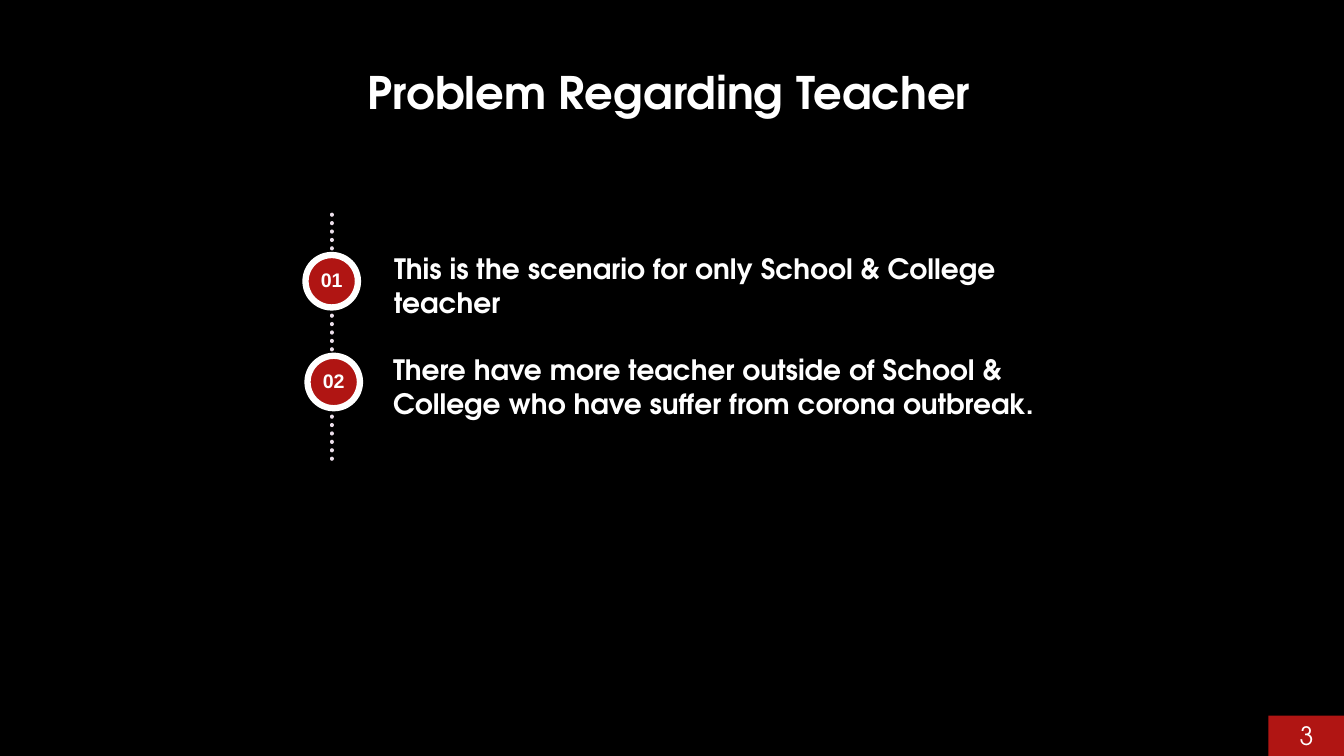
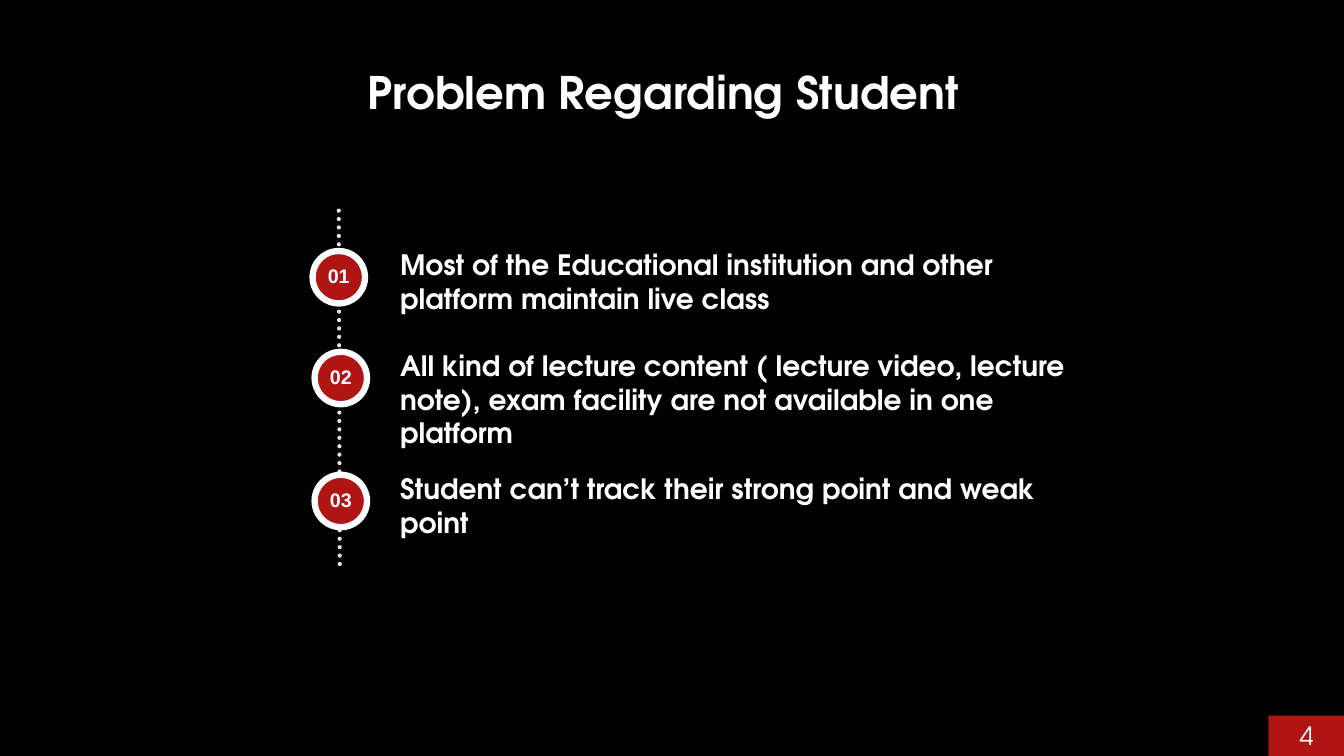
from dataclasses import dataclass

import pptx
import pptx.dml.color
import pptx.enum.dml
import pptx.enum.shapes
import pptx.enum.text
import pptx.oxml
import pptx.slide
import pptx.text.text
import pptx.util

Inches = pptx.util.Inches
Pt = pptx.util.Pt
RGBColor = pptx.dml.color.RGBColor
MSO_SHAPE = pptx.enum.shapes.MSO_SHAPE
MSO_ANCHOR = pptx.enum.text.MSO_ANCHOR
PP_ALIGN = pptx.enum.text.PP_ALIGN

BLACK = RGBColor(0x00, 0x00, 0x00)
WHITE = RGBColor(0xFF, 0xFF, 0xFF)
RED = RGBColor(0xB0, 0x15, 0x13)
PALE = RGBColor(0xEC, 0xDF, 0xEB)

HEAD_FONT = "TeX Gyre Adventor"
BADGE_FONT = "Arial"
BADGE_SIZE = 0.52
TEXT_RISE = 0.08
LINE_HEIGHT = 0.34
TEXT_MARGINS = 0.09


@dataclass(frozen=True)
class Item:
    text: str
    badge_left: float
    badge_top: float
    text_left: float
    text_width: float = 6.9
    lines: int = 2


@dataclass(frozen=True)
class Rail:
    x1: float
    y1: float
    x2: float
    y2: float


@dataclass(frozen=True)
class ProblemSlide:
    number: int
    title: str
    rail: Rail
    items: tuple[Item, ...]


SLIDES = (
    ProblemSlide(
        3,
        "Problem Regarding Teacher",
        Rail(3.29, 2.13, 3.29, 4.57),
        (
            Item("This is the scenario for only School & College teacher",
                 3.03, 2.53, 3.81, 6.75),
            Item("There have more teacher outside of School & College "
                 "who have suffer from corona outbreak.",
                 3.05, 3.53, 3.8),
        ),
    ),
    ProblemSlide(
        4,
        "Problem Regarding Student",
        Rail(3.36, 2.09, 3.37, 5.61),
        (
            Item("Most of the Educational institution and other platform "
                 "maintain live class",
                 3.1, 2.49, 3.87, 6.75),
            Item("All kind of lecture content ( lecture video, lecture note), "
                 "exam facility are not available in one platform",
                 3.12, 3.49, 3.87, lines=3),
            Item("Student can’t track their strong point and weak point",
                 3.12, 4.71, 3.87),
        ),
    ),
)


def write(tf: pptx.text.text.TextFrame, text: str, size: int,
          font: str = HEAD_FONT, bold: bool = True,
          align: PP_ALIGN = PP_ALIGN.LEFT) -> None:
    tf.word_wrap = True
    p = tf.paragraphs[0]
    p.text = text
    p.alignment = align
    p.font.name = font
    p.font.size = Pt(size)
    p.font.bold = bold
    p.font.color.rgb = WHITE


def add_text(s: pptx.slide.Slide, text: str, size: int, left: float,
             top: float, width: float, height: float) -> None:
    sp = s.shapes.add_textbox(Inches(left), Inches(top),
                              Inches(width), Inches(height))
    write(sp.text_frame, text, size)
    sp.text_frame.auto_size = pptx.enum.text.MSO_AUTO_SIZE.SHAPE_TO_FIT_TEXT


def add_rail(s: pptx.slide.Slide, rail: Rail) -> None:
    line = s.shapes.add_connector(
        pptx.enum.shapes.MSO_CONNECTOR.STRAIGHT,
        Inches(rail.x1), Inches(rail.y1), Inches(rail.x2), Inches(rail.y2))
    line.line.color.rgb = PALE
    line.line.width = Pt(3)
    line.line.dash_style = pptx.enum.dml.MSO_LINE.ROUND_DOT
    line.line._get_or_add_ln().set("cap", "rnd")
    pr = line._element.spPr
    pr.append(pr.makeelement(pptx.oxml.ns.qn("a:effectLst"), {}))


def add_badge(s: pptx.slide.Slide, label: str, left: float, top: float) -> None:
    sp = s.shapes.add_shape(MSO_SHAPE.OVAL, Inches(left), Inches(top),
                            Inches(BADGE_SIZE), Inches(BADGE_SIZE))
    sp.shadow.inherit = False
    sp.fill.solid()
    sp.fill.fore_color.rgb = RED
    sp.line.color.rgb = WHITE
    sp.line.width = Pt(4.5)
    tf = sp.text_frame
    tf.margin_left = tf.margin_right = tf.margin_top = tf.margin_bottom = 0
    tf.vertical_anchor = MSO_ANCHOR.MIDDLE
    write(tf, label, 14, BADGE_FONT, align=PP_ALIGN.CENTER)
    tf.paragraphs[0].line_spacing = 0.9


def add_item(s: pptx.slide.Slide, index: int, item: Item) -> None:
    add_badge(s, f"{index:02}", item.badge_left, item.badge_top)
    add_text(s, item.text, 20, item.text_left, item.badge_top - TEXT_RISE,
             item.text_width, item.lines * LINE_HEIGHT + TEXT_MARGINS)


def add_page_number(s: pptx.slide.Slide, number: int) -> None:
    sp = s.shapes.add_shape(MSO_SHAPE.RECTANGLE, Inches(12.58), Inches(7.1),
                            Inches(0.76), Inches(0.4))
    sp.shadow.inherit = False
    sp.fill.solid()
    sp.fill.fore_color.rgb = RED
    sp.line.fill.background()
    sp.text_frame.vertical_anchor = MSO_ANCHOR.MIDDLE
    write(sp.text_frame, str(number), 18, bold=False, align=PP_ALIGN.CENTER)


def add_problem_slide(prs, content: ProblemSlide) -> None:
    s = prs.slides.add_slide(prs.slide_layouts[6])
    add_text(s, content.title, 32, 3.55, 0.59, 6.54, 0.64)
    add_rail(s, content.rail)
    for index, item in enumerate(content.items, start=1):
        add_item(s, index, item)
    add_page_number(s, content.number)


def main() -> None:
    prs = pptx.Presentation()
    prs.slide_width = Inches(13.33)
    prs.slide_height = Inches(7.5)
    fill = prs.slide_master.background.fill
    fill.solid()
    fill.fore_color.rgb = BLACK
    for content in SLIDES:
        add_problem_slide(prs, content)
    prs.save("out.pptx")


if __name__ == "__main__":
    main()
